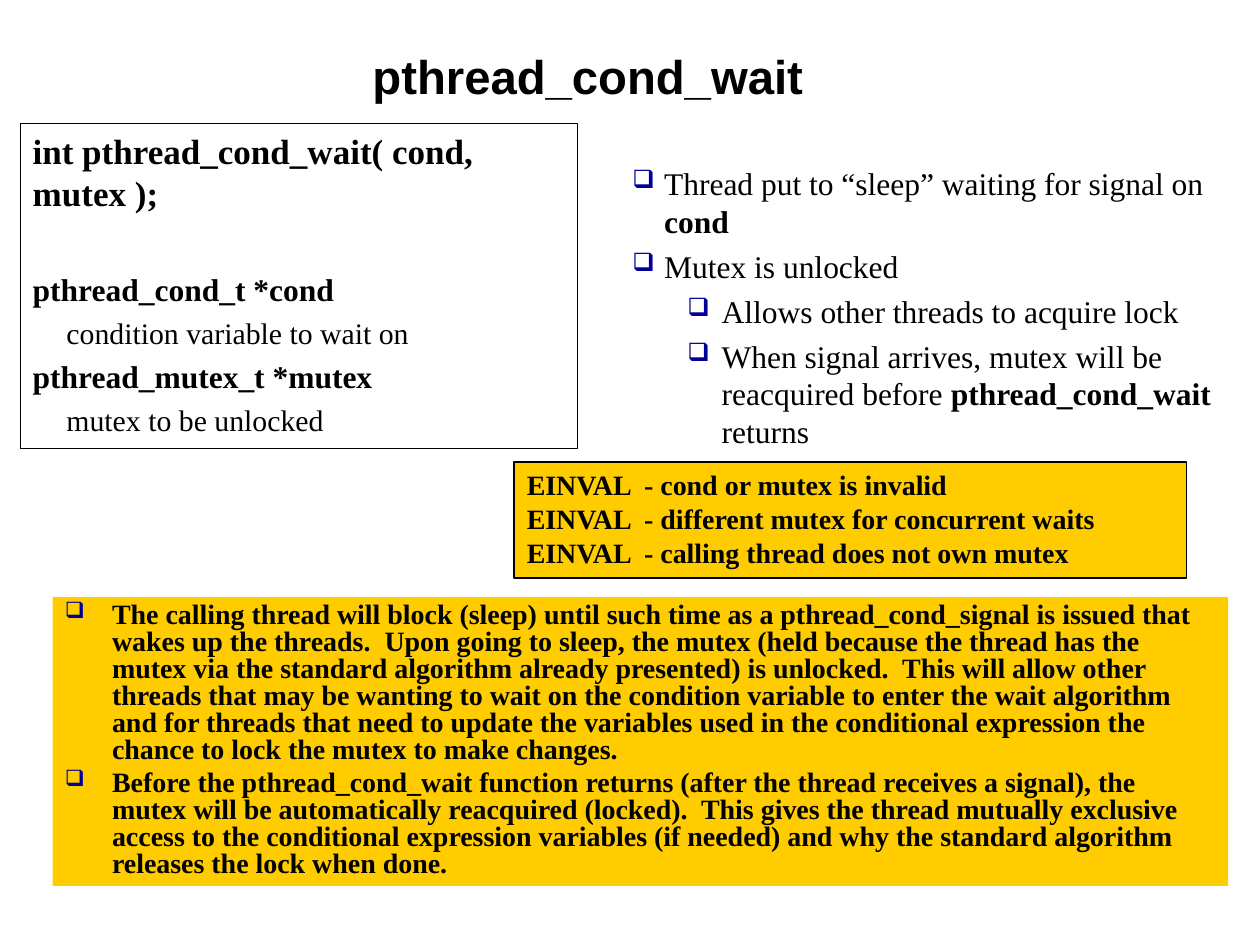
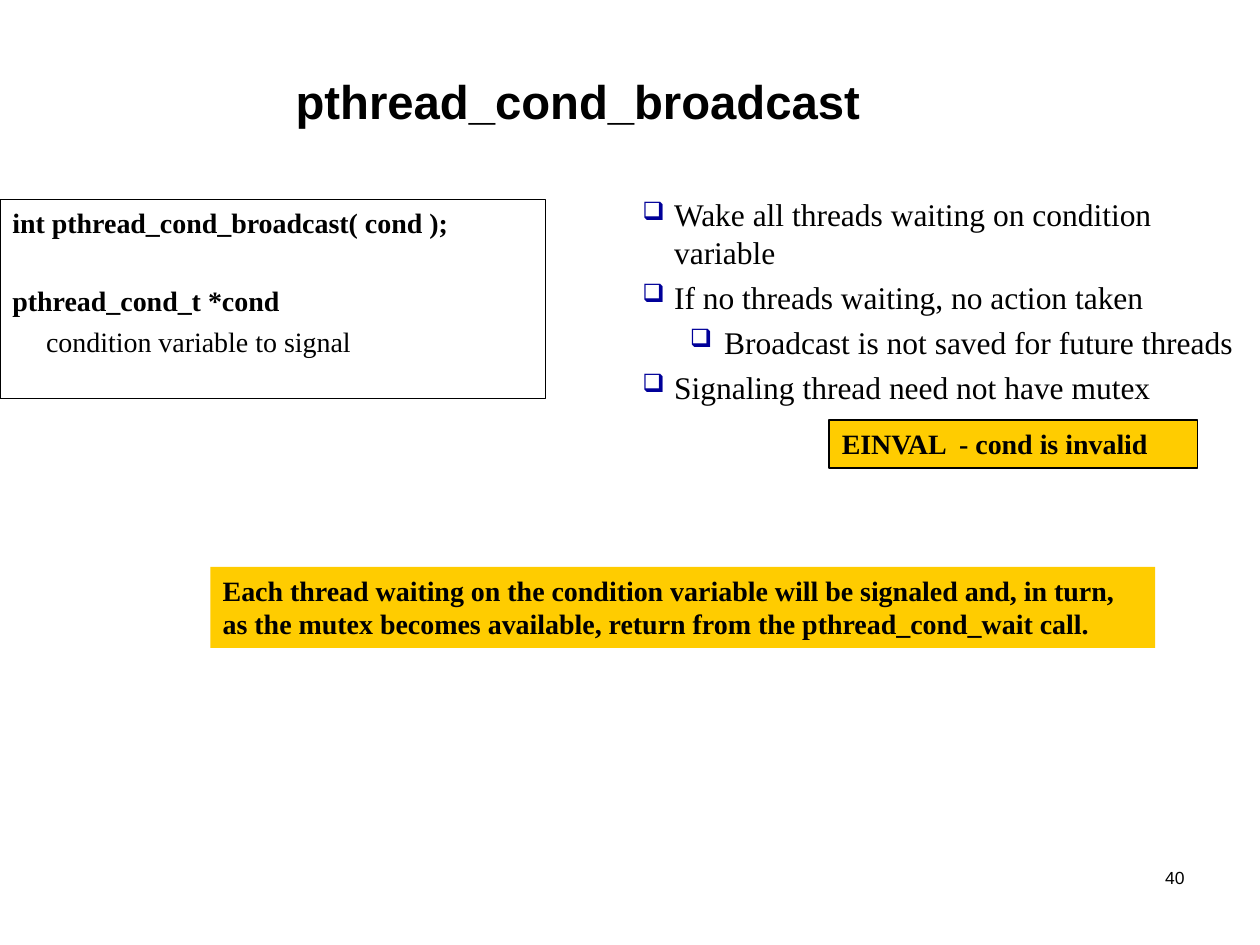
from lxml import etree
from pptx import Presentation
from pptx import util as u
from pptx.dml.color import RGBColor
from pptx.enum import shapes, text
from pptx.oxml.ns import qn

BLACK, WHITE, GOLD, NAVY = "000000", "FFFFFF", "FFCC00", "000099"
SANS, SERIF = "Arial", "Times New Roman"
GAP = 0.23
SECTION_GAP = 1.6


def color(value):
    """Turn a hex string into a colour."""
    return RGBColor.from_string(value)


class Deck:
    """Holds the shared style and the current slide."""

    def __init__(self):
        """Start an empty 10 by 7.5 inch presentation."""
        self.prs = Presentation()
        self.prs.slide_width, self.prs.slide_height = u.Cm(25.4), u.Cm(19.05)
        self.s = None

    def slide(self, title, box):
        """Add a blank slide with its centred title."""
        self.s = self.prs.slides.add_slide(self.prs.slide_layouts[6])
        tf = self.frame(box)
        tf.vertical_anchor = text.MSO_ANCHOR.MIDDLE
        p = self.paragraph(tf, [(title, True)], 27, SANS)
        p.alignment = text.PP_ALIGN.CENTER

    def frame(self, box, fill=None, line=None):
        """Add a text box, or a rectangle if filled, and return its text frame."""
        place = [u.Cm(v) for v in box]
        if fill is None:
            sp = self.s.shapes.add_textbox(*place)
        else:
            sp = self.s.shapes.add_shape(shapes.MSO_SHAPE.RECTANGLE, *place)
            sp.shadow.inherit = False
            sp.fill.solid()
            sp.fill.fore_color.rgb = color(fill)
            if line is None:
                sp.line.fill.background()
            else:
                sp.line.color.rgb = color(BLACK)
                sp.line.width = u.Pt(line)
        tf = sp.text_frame
        tf.word_wrap = True
        tf.vertical_anchor = text.MSO_ANCHOR.TOP
        return tf

    def paragraph(self, tf, runs, size, font=SERIF, before=0, left=0, hang=0):
        """Append a paragraph made of (wording, bold) runs."""
        first = not tf.paragraphs[0].runs
        p = tf.paragraphs[0] if first else tf.add_paragraph()
        p.alignment = text.PP_ALIGN.LEFT
        p.space_before = u.Pt(0 if first else round(before * size, 1))
        pPr = p._p.get_or_add_pPr()
        pPr.set("marL", str(u.Cm(left)))
        pPr.set("indent", str(u.Cm(-hang)))
        for wording, bold in runs:
            r = p.add_run()
            r.text = wording
            r.font.name, r.font.size, r.font.bold = font, u.Pt(size), bold
            r.font.color.rgb = color(BLACK)
        return p

    def bullet(self, tf, runs, size, left, hang):
        """Append a paragraph with a navy box bullet."""
        p = self.paragraph(tf, runs, size, before=GAP, left=left, hang=hang)
        pPr = p._p.get_or_add_pPr()
        clr = etree.SubElement(pPr, qn("a:buClr"))
        etree.SubElement(clr, qn("a:srgbClr"), val=NAVY)
        etree.SubElement(pPr, qn("a:buSzPct"), val="80000")
        etree.SubElement(pPr, qn("a:buChar"), char="❑")
        return p

    def prototype(self, box, call, call_size, params, name_size, note_size):
        """Add the framed function call with its explained parameters."""
        tf = self.frame(box, WHITE, 0.75)
        self.paragraph(tf, [(call, True)], call_size)
        for i, (name, note) in enumerate(params):
            before = GAP if i else SECTION_GAP * call_size / name_size
            self.paragraph(tf, [(name, True)], name_size, before=before, left=0.69, hang=0.69)
            self.paragraph(tf, [(note, False)], note_size, before=GAP, left=1.57, hang=0.89)

    def behaviour(self, box, points, sub_left):
        """Add the two-level bullet list of (level, runs)."""
        tf = self.frame(box)
        for level, runs in points:
            left, hang = (sub_left, 0.69) if level else (0.64, 0.64)
            self.bullet(tf, runs, 18, left, hang)

    def errors(self, box, causes):
        """Add the outlined gold box of error codes."""
        tf = self.frame(box, GOLD, 1)
        for cause in causes:
            self.paragraph(tf, [(f"EINVAL  - {cause}", True)], 16)

    def remark(self, box, wordings, bulleted=False):
        """Add a gold box of bold remarks."""
        tf = self.frame(box, GOLD)
        for wording in wordings:
            runs = [(wording, True)]
            if bulleted:
                self.bullet(tf, runs, 16, 0.95, 0.95).line_spacing = 0.8
            else:
                self.paragraph(tf, runs, 16)

    def number(self, value):
        """Add the slide number at the lower right."""
        tf = self.frame((18.85, 17.35, 5.28, 1.27))
        p = self.paragraph(tf, [(value, False)], 10, SANS)
        p.alignment = text.PP_ALIGN.RIGHT


def wait_slide(deck):
    """Build the slide on waiting."""
    deck.slide("pthread_cond_wait", (6.35, 0.86, 11, 1.35))
    deck.prototype(
        (0.41, 2.49, 11.23, 6.55), "int pthread_cond_wait( cond, mutex );", 20,
        [("pthread_cond_t *cond", "condition variable to wait on"),
         ("pthread_mutex_t *mutex", "mutex to be unlocked")], 18, 17)
    deck.behaviour((12.5, 3.18, 12.5, 6.35), [
        (0, [("Thread put to “sleep” waiting for signal on ", False), ("cond", True)]),
        (0, [("Mutex is unlocked", False)]),
        (1, [("Allows other threads to acquire lock", False)]),
        (1, [("When signal arrives, mutex will be reacquired before ", False),
             ("pthread_cond_wait ", True), ("returns", False)]),
    ], 1.8)
    deck.errors((10.37, 9.31, 13.55, 2.34), [
        "cond or mutex is invalid",
        "different mutex for concurrent waits",
        "calling thread does not own mutex"])
    deck.remark((1.06, 12.04, 23.7, 5.82), [
        "The calling thread will block (sleep) until such time as a pthread_cond_signal "
        "is issued that wakes up the threads.  Upon going to sleep, the mutex (held because "
        "the thread has the mutex via the standard algorithm already presented) is unlocked.  "
        "This will allow other threads that may be wanting to wait on the condition variable "
        "to enter the wait algorithm and for threads that need to update the variables used "
        "in the conditional expression the chance to lock the mutex to make changes.",
        "Before the pthread_cond_wait function returns (after the thread receives a signal), "
        "the mutex will be automatically reacquired (locked).  This gives the thread mutually "
        "exclusive access to the conditional expression variables (if needed) and why the "
        "standard algorithm releases the lock when done."], bulleted=True)


def broadcast_slide(deck):
    """Build the slide on broadcasting."""
    deck.slide("pthread_cond_broadcast", (4.88, 1.24, 13.54, 1.57))
    deck.number("40")
    deck.prototype(
        (0, 4.02, 11, 4.02), "int pthread_cond_broadcast( cond );", 16,
        [("pthread_cond_t *cond", "condition variable to signal")], 16, 16)
    deck.behaviour((12.7, 3.81, 12.5, 4.65), [
        (0, [("Wake all threads waiting on condition variable", False)]),
        (0, [("If no threads waiting, no action taken", False)]),
        (1, [("Broadcast is not saved for future threads", False)]),
        (0, [("Signaling thread need not have mutex", False)]),
    ], 1.65)
    deck.errors((16.72, 8.47, 7.42, 0.97), ["cond is invalid"])
    deck.remark((4.24, 11.43, 19.05, 1.63), [
        "Each thread waiting on the condition variable will be signaled and, in turn, "
        "as the mutex becomes available, return from the pthread_cond_wait call."])


def main():
    """Build and save the presentation."""
    deck = Deck()
    wait_slide(deck)
    broadcast_slide(deck)
    deck.prs.save("out.pptx")


if __name__ == "__main__":
    main()
